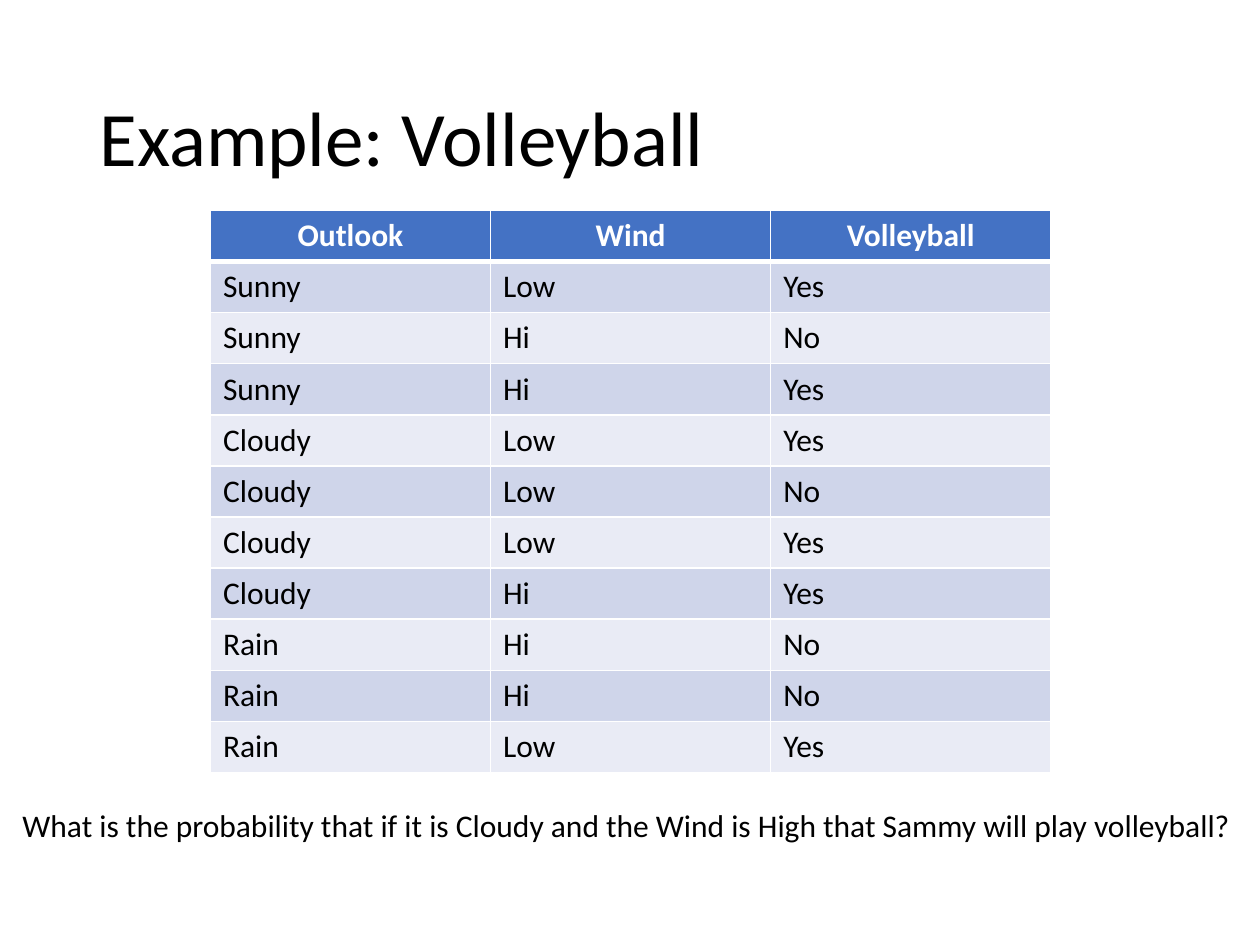
from dataclasses import dataclass
from typing import NamedTuple

from lxml import etree
from pptx import Presentation
from pptx import util as u
from pptx.dml.color import RGBColor
from pptx.enum import text
from pptx.oxml.ns import qn


@dataclass(frozen=True)
class Theme:
    font: str = "Calibri"
    title_size: int = 44
    body_size: int = 18
    ink: str = "000000"
    header_ink: str = "FFFFFF"
    header_fill: str = "4472C4"
    bands: tuple[str, str] = ("CFD5EA", "E9EBF5")
    border: str = "FFFFFF"
    border_width: float = 1
    header_rule_width: float = 3


class Box(NamedTuple):
    left: float
    top: float
    width: float
    height: float


class Observation(NamedTuple):
    outlook: str
    wind: str
    volleyball: str


THEME = Theme()
TITLE_BOX = Box(0.69, 0.4, 8.62, 1.45)
TABLE_BOX = Box(1.67, 1.67, 6.67, 4.46)
QUESTION_BOX = Box(0.08, 6.35, 9.82, 0.4)

HEADERS = Observation("Outlook", "Wind", "Volleyball")
OBSERVATIONS = [
    Observation("Sunny", "Low", "Yes"),
    Observation("Sunny", "Hi", "No"),
    Observation("Sunny", "Hi", "Yes"),
    Observation("Cloudy", "Low", "Yes"),
    Observation("Cloudy", "Low", "No"),
    Observation("Cloudy", "Low", "Yes"),
    Observation("Cloudy", "Hi", "Yes"),
    Observation("Rain", "Hi", "No"),
    Observation("Rain", "Hi", "No"),
    Observation("Rain", "Low", "Yes"),
]


def lengths(box: Box) -> list[u.Length]:
    return [u.Inches(value) for value in box]


def add_run(paragraph, words: str, size: int, color: str = THEME.ink,
            bold: bool = False) -> None:
    run = paragraph.add_run()
    run.text = words
    run.font.name = THEME.font
    run.font.size = u.Pt(size)
    run.font.bold = bold
    run.font.color.rgb = RGBColor.from_string(color)


def set_borders(cell, top: float, bottom: float) -> None:
    """Draw the four cell edges; they must come before the cell fill."""
    properties = cell._tc.get_or_add_tcPr()
    side = THEME.border_width
    for tag, width in (("lnL", side), ("lnR", side), ("lnT", top), ("lnB", bottom)):
        line = etree.SubElement(properties, qn(f"a:{tag}"), w=str(u.Pt(width)))
        fill = etree.SubElement(line, qn("a:solidFill"))
        etree.SubElement(fill, qn("a:srgbClr"), val=THEME.border)


def fill_cell(cell, words: str, row: int) -> None:
    is_header = row == 0
    thin, thick = THEME.border_width, THEME.header_rule_width
    set_borders(cell, thick if row == 1 else thin, thick if is_header else thin)
    color = THEME.header_fill if is_header else THEME.bands[(row - 1) % 2]
    cell.fill.solid()
    cell.fill.fore_color.rgb = RGBColor.from_string(color)
    paragraph = cell.text_frame.paragraphs[0]
    if is_header:
        paragraph.alignment = text.PP_ALIGN.CENTER
    add_run(paragraph, words, THEME.body_size,
            THEME.header_ink if is_header else THEME.ink, bold=is_header)


def add_title(slide, words: str) -> None:
    title = slide.shapes.title
    title.left, title.top, title.width, title.height = lengths(TITLE_BOX)
    title.text_frame.vertical_anchor = text.MSO_ANCHOR.MIDDLE
    paragraph = title.text_frame.paragraphs[0]
    paragraph.alignment = text.PP_ALIGN.LEFT
    paragraph.line_spacing = 0.9
    add_run(paragraph, words, THEME.title_size)


def add_observations(slide) -> None:
    rows = [HEADERS, *OBSERVATIONS]
    table = slide.shapes.add_table(len(rows), len(HEADERS), *lengths(TABLE_BOX)).table
    for row, values in enumerate(rows):
        for column, words in enumerate(values):
            fill_cell(table.cell(row, column), words, row)


def add_question(slide, words: str) -> None:
    frame = slide.shapes.add_textbox(*lengths(QUESTION_BOX)).text_frame
    frame.word_wrap = True
    frame.auto_size = text.MSO_AUTO_SIZE.SHAPE_TO_FIT_TEXT
    add_run(frame.paragraphs[0], words, THEME.body_size)


def main() -> None:
    presentation = Presentation()
    presentation.slide_width = u.Inches(10)
    presentation.slide_height = u.Inches(7.5)
    title_only = presentation.slide_layouts.get_by_name("Title Only")
    slide = presentation.slides.add_slide(title_only)

    # Title, table of past games, question below it
    add_title(slide, "Example: Volleyball")
    add_observations(slide)
    add_question(slide, "What is the probability that if it is Cloudy and the Wind "
                        "is High that Sammy will play volleyball?")
    presentation.save("out.pptx")


if __name__ == "__main__":
    main()
